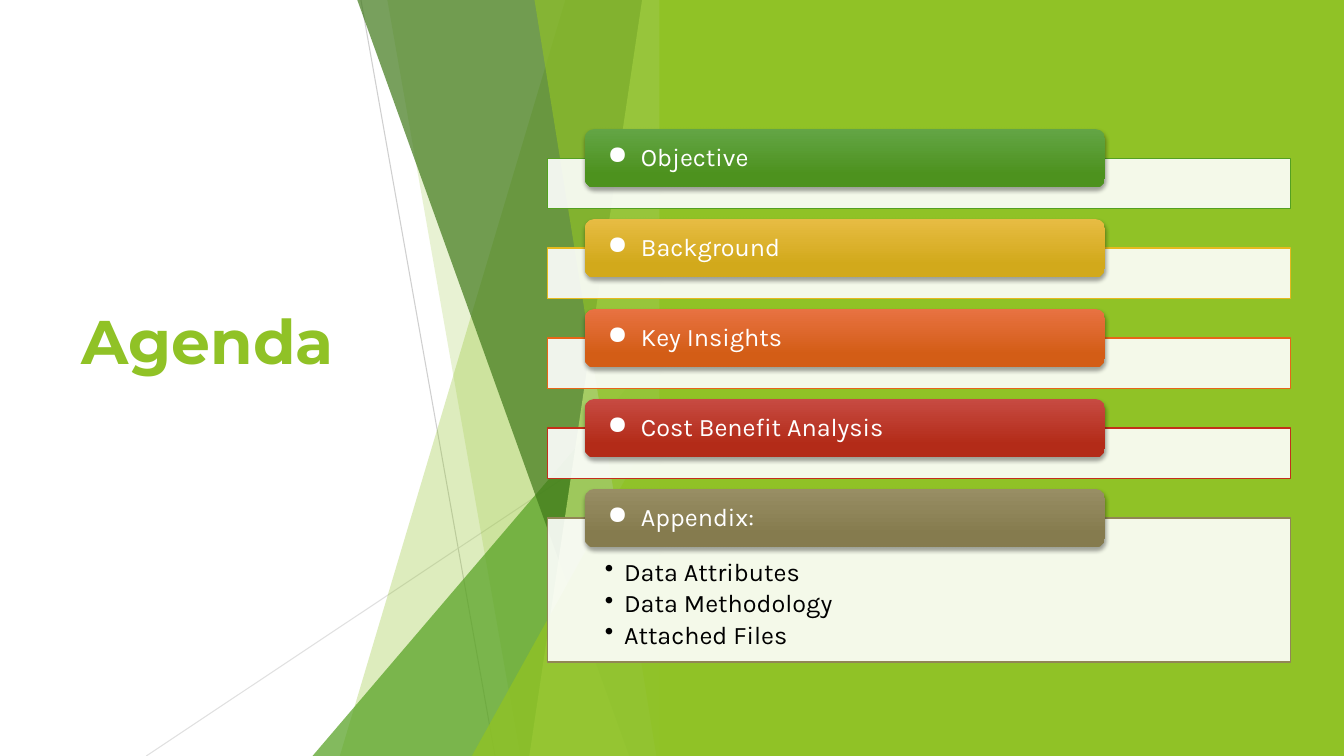
from dataclasses import dataclass
from lxml.etree import SubElement
from pptx import Presentation
from pptx.dml.color import RGBColor
from pptx.enum.shapes import MSO_CONNECTOR, MSO_SHAPE
from pptx.enum.text import MSO_ANCHOR, PP_ALIGN
from pptx.oxml.ns import qn
from pptx.util import Inches, Pt


@dataclass(frozen=True)
class Theme:
    lime: str = "90C226"
    leaf: str = "54A021"
    pine: str = "3F7819"
    mint: str = "C0E474"
    gray: str = "BFBFBF"
    mist: str = "D9D9D9"
    white: str = "FFFFFF"
    black: str = "000000"
    head: str = "Montserrat"
    body: str = "Karla"
    big: int = 44
    text: int = 18


theme = Theme()


def paint(fill, color, alpha=100):
    fill.solid()
    fill.fore_color.rgb = RGBColor.from_string(color)
    if alpha < 100:
        node = fill._xPr.find(".//" + qn("a:srgbClr"))
        SubElement(node, qn("a:alpha"), val=str(alpha * 1000))


def write(shape, lines, look, frame, dot="", dent=0, after=0):
    box = shape.text_frame
    for key, val in frame.items():
        setattr(box, key, val)
    for i, line in enumerate(lines):
        par = box.add_paragraph() if i else box.paragraphs[0]
        par.alignment = PP_ALIGN.LEFT
        run = par.add_run()
        run.text = line
        for key, val in look.items():
            if key == "color":
                run.font.color.rgb = RGBColor.from_string(val)
            else:
                setattr(run.font, key, val)
        if dot:
            par.line_spacing = 0.9
            par.space_after = Pt(after)
            prop = par._p.get_or_add_pPr()
            prop.set("marL", str(Inches(dent)))
            prop.set("indent", str(-Inches(dent)))
            SubElement(prop, qn("a:buChar"), char=dot)


deck = Presentation()
deck.slide_width, deck.slide_height = Inches(13.33), Inches(7.5)
slide = deck.slides.add_slide(deck.slide_layouts[6])
shapes = slide.shapes

# Title, raised above the middle by the bottom inset
title = shapes.add_textbox(Inches(0.71), Inches(1.51), Inches(3.88), Inches(4.48))
write(title, ["Agenda"],
      dict(name=theme.head, size=Pt(theme.big), bold=True, color=theme.lime),
      dict(word_wrap=True, vertical_anchor=MSO_ANCHOR.MIDDLE, margin_bottom=Inches(0.8)))

# Thin crossing lines
for x1, y1, x2, y2, color, alpha in [
    (3.58, 0, 4.91, 7.5, theme.gray, 75),
    (6.66, 4.03, 1.45, 7.5, theme.mist, 80),
]:
    line = shapes.add_connector(MSO_CONNECTOR.STRAIGHT, Inches(x1), Inches(y1),
                                Inches(x2), Inches(y2))
    line.line.width = Pt(0.75)
    paint(line.line.fill, color, alpha)
    SubElement(line.element.spPr, qn("a:effectLst"))

# Facets: top left, foot left, or a triangle's left and top
edge = 6.66
for kind, a, b, color, alpha in [
    ("band", 5.61, 3.37, theme.lime, 30),
    ("band", 3.84, 5.16, theme.lime, 20),
    ("peak", 3.1, 3.33, theme.leaf, 72),
    ("band", 3.54, 6.24, theme.pine, 70),
    ("band", 6.37, 5.25, theme.mint, 70),
    ("band", 5.3, 6.51, theme.lime, 65),
    ("peak", 4.68, 3.93, theme.lime, 80),
]:
    if kind == "band":
        path = shapes.build_freeform(Inches(a), Inches(-0.01))
        path.add_line_segments([(Inches(x), Inches(y)) for x, y in
                                [(edge, -0.01), (edge, 7.5), (b, 7.5)]])
        facet = path.convert_to_shape()
    else:
        facet = shapes.add_shape(MSO_SHAPE.ISOSCELES_TRIANGLE, Inches(a), Inches(b),
                                 Inches(edge - a), Inches(7.5 - b))
        facet.adjustments[0] = 1
    paint(facet.fill, color, alpha)
    facet.line.fill.background()
    facet.shadow.inherit = False

# Right side
side = shapes.add_shape(MSO_SHAPE.RECTANGLE, Inches(6.54), 0, Inches(6.8), Inches(7.5))
paint(side.fill, theme.lime)
side.line.fill.background()
side.shadow.inherit = False

# Agenda rows: label, border, gradient top and foot, details
rows = [
    ("Objective", "54A021", "63A545", "4D921E", []),
    ("Background", "E6B91E", "E7BC43", "D2A91B", []),
    ("Key Insights", "E76618", "E87242", "D35D16", []),
    ("Cost Benefit Analysis", "C42F1A", "C74B42", "B32B18", []),
    ("Appendix:", "918655", "988E64", "857B4E",
     ["Data Attributes", "Data Methodology", "Attached Files"]),
]
step = (4.85 - 1.28) / 4
look = dict(name=theme.body, size=Pt(theme.text))
for i, (label, border, light, dark, items) in enumerate(rows):
    top = 1.28 + i * step

    # Pale panel
    panel = shapes.add_shape(MSO_SHAPE.RECTANGLE, Inches(5.43), Inches(top + 0.29),
                             Inches(7.37), Inches(1.43 if items else 0.5))
    paint(panel.fill, theme.white, 90)
    paint(panel.line.fill, border)
    panel.line.width = Pt(1)
    panel.shadow.inherit = False
    if items:
        write(panel, items, look | dict(color=theme.black),
              dict(word_wrap=True, vertical_anchor=MSO_ANCHOR.TOP,
                   margin_left=Inches(0.57), margin_right=Inches(0.57),
                   margin_top=Inches(0.41), margin_bottom=Inches(0.14)),
              "•", 0.19, 3.2)

    # Label bar
    bar = shapes.add_shape(MSO_SHAPE.ROUNDED_RECTANGLE, Inches(5.8), Inches(top),
                           Inches(5.16), Inches(0.58))
    bar.fill.gradient()
    bar.fill.gradient_angle = 270
    for stop, color, place in zip(bar.fill.gradient_stops, (light, dark), (0, 0.78)):
        stop.color.rgb = RGBColor.from_string(color)
        stop.position = place
    bar.line.fill.background()
    bar.shadow.inherit = False
    shade = SubElement(bar.element.spPr.find(qn("a:effectLst")), qn("a:outerShdw"),
                       blurRad=str(Pt(3)), dist=str(Pt(2)), dir="5400000", rotWithShape="0")
    tint = SubElement(shade, qn("a:srgbClr"), val=theme.black)
    SubElement(tint, qn("a:alpha"), val="35000")
    write(bar, [label], look | dict(color=theme.white),
          dict(word_wrap=True, vertical_anchor=MSO_ANCHOR.MIDDLE,
               margin_left=Inches(0.2), margin_right=Inches(0.2),
               margin_top=0, margin_bottom=0),
          "●", 0.33)

deck.save("out.pptx")
